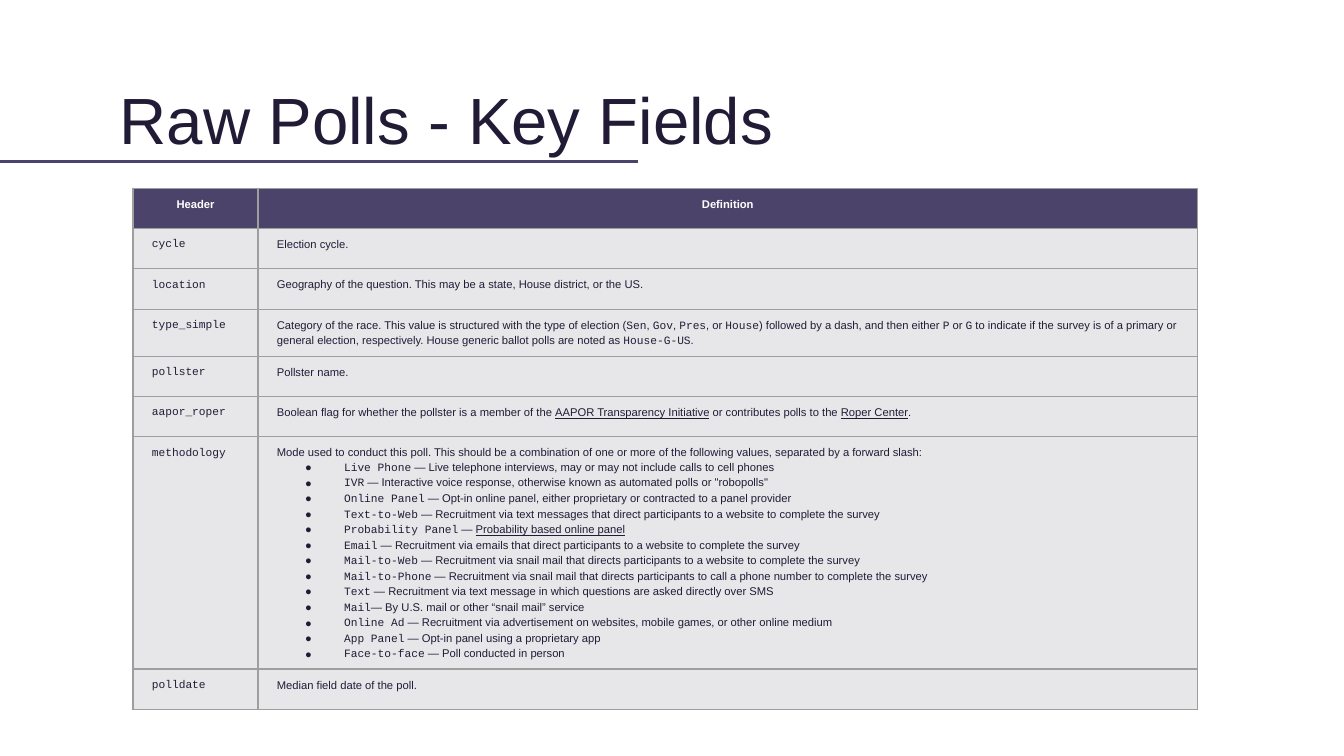
from lxml import etree
from pptx import Presentation
from pptx.dml.color import RGBColor
from pptx.enum.shapes import MSO_CONNECTOR
from pptx.enum.text import MSO_ANCHOR, MSO_AUTO_SIZE, PP_ALIGN
from pptx.oxml.ns import qn
from pptx.util import Inches, Pt

TITLE = "Raw Polls - Key Fields"
HEADERS = ("Header", "Definition")

# `text` is set in the code font, ~text~ is underlined
FIELDS = [
    ("cycle", "Election cycle."),
    ("location", "Geography of the question. This may be a state, House district, or the US."),
    ("type_simple",
     "Category of the race. This value is structured with the type of election "
     "(`Sen`, `Gov`, `Pres`, or `House`) followed by a dash, and then either `P` or `G` "
     "to indicate if the survey is of a primary or general election, respectively. "
     "House generic ballot polls are noted as `House-G-US`."),
    ("pollster", "Pollster name."),
    ("aapor_roper",
     "Boolean flag for whether the pollster is a member of the "
     "~AAPOR Transparency Initiative~ or contributes polls to the ~Roper Center~."),
    ("methodology",
     "Mode used to conduct this poll. This should be a combination of one or more of "
     "the following values, separated by a forward slash:"),
    ("polldate", "Median field date of the poll."),
]
METHODS = [
    "`Live Phone` — Live telephone interviews, may or may not include calls to cell phones",
    "`IVR` — Interactive voice response, otherwise known as automated polls or \"robopolls\"",
    "`Online Panel` — Opt-in online panel, either proprietary or contracted to a panel provider",
    "`Text-to-Web` — Recruitment via text messages that direct participants to a website "
    "to complete the survey",
    "`Probability Panel` — ~Probability based online panel~",
    "`Email` — Recruitment via emails that direct participants to a website to complete the survey",
    "`Mail-to-Web` — Recruitment via snail mail that directs participants to a website "
    "to complete the survey",
    "`Mail-to-Phone` — Recruitment via snail mail that directs participants to call a phone "
    "number to complete the survey",
    "`Text` — Recruitment via text message in which questions are asked directly over SMS",
    "`Mail`— By U.S. mail or other “snail mail” service",
    "`Online Ad` — Recruitment via advertisement on websites, mobile games, or other online medium",
    "`App Panel` — Opt-in panel using a proprietary app",
    "`Face-to-face` — Poll conducted in person",
]

BODY_FONT, CODE_FONT = "Arial", "Courier New"
INK, PURPLE, WHITE, PALE, BORDER = "221B36", "4C436B", "FFFFFF", "E7E7E9", "9E9E9E"
COLUMN_WIDTHS = (0.93, 6.99)
ROW_HEIGHT = 0.3


def color(hex_code):
    return RGBColor.from_string(hex_code)


def style_run(run, size, hex_code, font=BODY_FONT, bold=False, underline=False):
    run.font.name = font
    run.font.size = Pt(size)
    run.font.color.rgb = color(hex_code)
    run.font.bold = bold
    run.font.underline = underline


def add_marked_text(paragraph, marked, hex_code=INK, bold=False):
    """Add runs, reading ` as the code font and ~ as underline."""
    paragraph.line_spacing = 1.15
    for i, stretch in enumerate(marked.split("`")):
        font = CODE_FONT if i % 2 else BODY_FONT
        for j, words in enumerate(stretch.split("~")):
            if words:
                run = paragraph.add_run()
                run.text = words
                style_run(run, 6, hex_code, font, bold, j % 2 == 1)


def add_bullet(paragraph):
    properties = paragraph._p.get_or_add_pPr()
    properties.set("marL", str(Inches(0.5)))
    properties.set("indent", str(Inches(-0.29)))
    bullet_color = etree.SubElement(properties, qn("a:buClr"))
    etree.SubElement(bullet_color, qn("a:srgbClr"), val=INK)
    etree.SubElement(properties, qn("a:buSzPts"), val="600")
    etree.SubElement(properties, qn("a:buFont"), typeface=BODY_FONT)
    etree.SubElement(properties, qn("a:buChar"), char="●")


def format_cell(cell, fill):
    cell.margin_left = cell.margin_right = Inches(0.14)
    cell.margin_top = cell.margin_bottom = Inches(0.06)
    properties = cell._tc.get_or_add_tcPr()
    for side in ("lnL", "lnR", "lnT", "lnB"):
        edge = etree.SubElement(properties, qn(f"a:{side}"), w=str(Pt(0.75)))
        edge_fill = etree.SubElement(edge, qn("a:solidFill"))
        etree.SubElement(edge_fill, qn("a:srgbClr"), val=BORDER)
    cell.fill.solid()
    cell.fill.fore_color.rgb = color(fill)


def add_title(slide):
    title = slide.shapes.title
    title.left, title.top = Inches(0.79), Inches(0.49)
    title.width, title.height = Inches(8.43), Inches(0.63)
    frame = title.text_frame
    frame.text = TITLE
    frame.auto_size = MSO_AUTO_SIZE.NONE
    frame.vertical_anchor = MSO_ANCHOR.TOP
    frame.margin_left = frame.margin_right = Inches(0.1)
    frame.margin_top = frame.margin_bottom = Inches(0.1)
    frame.paragraphs[0].alignment = PP_ALIGN.LEFT
    style_run(frame.paragraphs[0].runs[0], 35, INK)


def add_title_rule(slide):
    rule = slide.shapes.add_connector(
        MSO_CONNECTOR.STRAIGHT, Inches(0), Inches(1.2), Inches(4.75), Inches(1.2))
    rule.line.color.rgb = color(PURPLE)
    rule.line.width = Pt(1.5)
    etree.SubElement(rule._element.spPr, qn("a:effectLst"))


def add_fields_table(slide):
    row_count = len(FIELDS) + 1
    table = slide.shapes.add_table(
        row_count, len(HEADERS), Inches(0.99), Inches(1.4),
        Inches(sum(COLUMN_WIDTHS)), Inches(ROW_HEIGHT * row_count)).table
    table.first_row = table.horz_banding = False
    for column, width in zip(table.columns, COLUMN_WIDTHS):
        column.width = Inches(width)

    for cell, header in zip(table.rows[0].cells, HEADERS):
        format_cell(cell, PURPLE)
        paragraph = cell.text_frame.paragraphs[0]
        paragraph.alignment = PP_ALIGN.CENTER
        add_marked_text(paragraph, header, WHITE, bold=True)

    for row, (field, definition) in enumerate(FIELDS, start=1):
        for column, marked in enumerate((f"`{field}`", definition)):
            cell = table.cell(row, column)
            format_cell(cell, PALE)
            add_marked_text(cell.text_frame.paragraphs[0], marked)
        if field == "methodology":
            for method in METHODS:
                paragraph = cell.text_frame.add_paragraph()
                add_bullet(paragraph)
                add_marked_text(paragraph, method)


def main():
    deck = Presentation()
    deck.slide_width = Inches(10)
    deck.slide_height = deck.slide_width * 9 // 16
    slide = deck.slides.add_slide(deck.slide_layouts[5])
    add_title_rule(slide)
    add_title(slide)
    add_fields_table(slide)
    deck.save("out.pptx")


if __name__ == "__main__":
    main()
